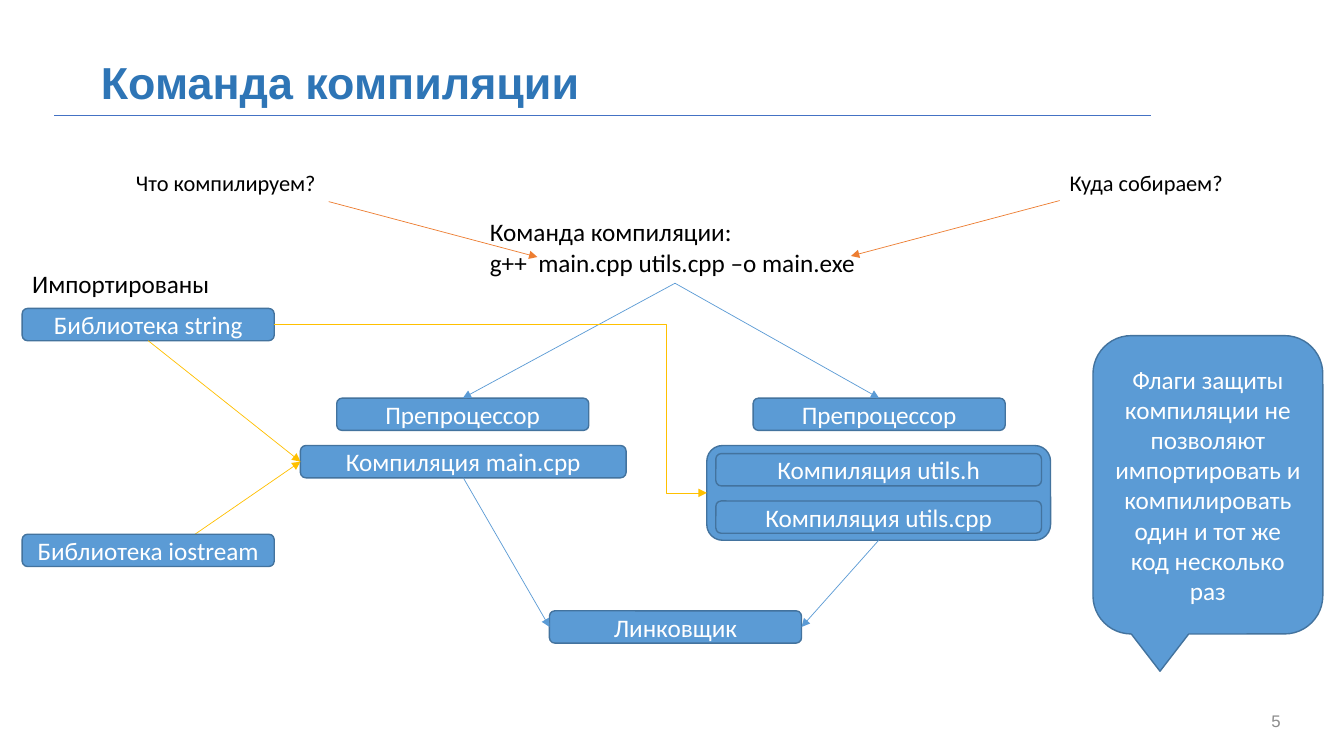
from dataclasses import dataclass

from lxml.etree import SubElement
from pptx import Presentation
from pptx.dml.color import RGBColor
from pptx.enum.shapes import MSO_CONNECTOR as Connector, MSO_SHAPE as Preset
from pptx.enum.text import MSO_ANCHOR as Anchor, MSO_AUTO_SIZE as AutoSize, PP_ALIGN as Align
from pptx.oxml.ns import qn
from pptx.util import Inches, Pt

COLORS = {
    "title": "2E75B6", "rule": "4472C4", "number": "8C8C8C", "text": "000000",
    "box": "5B9BD5", "outline": "43739E", "box_text": "FFFFFF",
    "build": "5B9BD5", "question": "ED7D31", "library": "FFC000",
}
TOP, LEFT, BOTTOM, RIGHT = range(4)


@dataclass
class Box:
    name: str
    text: str
    left: float
    top: float
    width: float = 2.5
    height: float = 0.32
    preset: Preset = Preset.ROUNDED_RECTANGLE


@dataclass
class Label:
    name: str
    lines: list[str]
    left: float
    top: float
    width: float
    height: float
    size: int = 18


@dataclass
class Join:
    start: str
    start_side: int
    end: str
    end_side: int
    color: str
    kind: Connector = Connector.STRAIGHT


@dataclass
class Line:
    start: tuple[float, float]
    end: tuple[float, float]
    color: str
    arrow: bool = True


BOXES = [
    Box("linker", "Линковщик", 5.45, 6.06),
    Box("main", "Компиляция main.cpp", 2.98, 4.42, 3.23),
    Box("utils", "", 7.01, 4.42, 3.41, 0.94),
    Box("utils source", "Компиляция utils.cpp", 7.1, 4.97, 3.23),
    Box("utils header", "Компиляция utils.h", 7.1, 4.5, 3.23),
    Box("main preprocessor", "Препроцессор", 3.34, 3.95),
    Box("utils preprocessor", "Препроцессор", 7.47, 3.95),
    Box("guards", "Флаги защиты компиляции не позволяют импортировать и компилировать "
        "один и тот же код несколько раз", 10.84, 3.33, 2.28, 2.96,
        Preset.ROUNDED_RECTANGULAR_CALLOUT),
    Box("string", "Библиотека string", 0.22, 3.06),
    Box("iostream", "Библиотека iostream", 0.22, 5.3),
]
LABELS = [
    Label("command", ["Команда компиляции:", "g++  main.cpp utils.cpp –o main.exe"],
          4.76, 2.1, 3.87, 0.71),
    Label("what", ["Что компилируем?"], 1.25, 1.63, 2.01, 0.37, 16),
    Label("where", ["Куда собираем?"], 10.51, 1.63, 1.74, 0.37, 16),
    Label("imported", ["Импортированы"], 0.22, 2.61, 1.98, 0.4),
]
JOINS = [
    Join("command", BOTTOM, "main preprocessor", TOP, "build"),
    Join("command", BOTTOM, "utils preprocessor", TOP, "build"),
    Join("main", BOTTOM, "linker", LEFT, "build"),
    Join("utils", BOTTOM, "linker", RIGHT, "build"),
    Join("iostream", BOTTOM, "main", LEFT, "library"),
    Join("string", RIGHT, "utils", LEFT, "library", Connector.ELBOW),
    Join("string", BOTTOM, "main", LEFT, "library"),
]
LINES = [
    Line((0.54, 1.14), (11.42, 1.14), "rule", arrow=False),
    Line((3.26, 2), (5.33, 2.55), "question"),
    Line((10.51, 1.99), (8.44, 2.54), "question"),
]


def rgb(name: str) -> RGBColor:
    return RGBColor.from_string(COLORS[name])


def place(shape, left: float, top: float, width: float, height: float) -> None:
    shape.left, shape.top = Inches(left), Inches(top)
    shape.width, shape.height = Inches(width), Inches(height)


def add_run(paragraph, text: str, size: int, color: str, font: str = "Calibri",
            bold: bool = False) -> None:
    run = paragraph.add_run()
    run.text = text
    run.font.size = Pt(size)
    run.font.name = font
    run.font.bold = bold
    run.font.color.rgb = rgb(color)


def add_box(slide, box: Box):
    shape = slide.shapes.add_shape(box.preset, 0, 0, 0, 0)
    place(shape, box.left, box.top, box.width, box.height)
    shape.shadow.inherit = False
    shape.fill.solid()
    shape.fill.fore_color.rgb = rgb("box")
    shape.line.color.rgb = rgb("outline")
    shape.line.width = Pt(1)
    if box.text:
        shape.text_frame.word_wrap = True
        shape.text_frame.vertical_anchor = Anchor.MIDDLE
        paragraph = shape.text_frame.paragraphs[0]
        paragraph.alignment = Align.CENTER
        add_run(paragraph, box.text, 18, "box_text")
    return shape


def add_label(slide, label: Label):
    shape = slide.shapes.add_textbox(0, 0, 0, 0)
    place(shape, label.left, label.top, label.width, label.height)
    frame = shape.text_frame
    frame.word_wrap = False
    frame.auto_size = AutoSize.SHAPE_TO_FIT_TEXT
    for index, line in enumerate(label.lines):
        paragraph = frame.add_paragraph() if index else frame.paragraphs[0]
        add_run(paragraph, line, label.size, "text")
    return shape


def style_connector(connector, color: str, arrow: bool = True) -> None:
    connector.line.color.rgb = rgb(color)
    connector.line.width = Pt(0.5)
    properties = connector.element.spPr
    SubElement(properties, qn("a:effectLst"))
    if arrow:
        SubElement(properties.find(qn("a:ln")), qn("a:tailEnd"), type="triangle")


def add_line(slide, line: Line) -> None:
    points = [Inches(value) for value in (*line.start, *line.end)]
    connector = slide.shapes.add_connector(Connector.STRAIGHT, *points)
    style_connector(connector, line.color, line.arrow)


def add_join(slide, join: Join, shapes: dict) -> None:
    connector = slide.shapes.add_connector(join.kind, 0, 0, 0, 0)
    connector.begin_connect(shapes[join.start], join.start_side)
    connector.end_connect(shapes[join.end], join.end_side)
    style_connector(connector, join.color)
    if join.kind == Connector.ELBOW:
        guides = connector.element.spPr.find(qn("a:prstGeom")).get_or_add_avLst()
        SubElement(guides, qn("a:gd"), name="adj1", fmla="val 90700")


def add_title(slide) -> None:
    title = slide.shapes.title
    place(title, 0.9, 0.53, 8.45, 0.55)
    title.text_frame.auto_size = AutoSize.NONE
    title.text_frame.vertical_anchor = Anchor.MIDDLE
    paragraph = title.text_frame.paragraphs[0]
    paragraph.alignment = Align.LEFT
    add_run(paragraph, "Команда компиляции", 32, "title", "Arial", True)


def add_number(slide) -> None:
    number = slide.shapes.add_textbox(0, 0, 0, 0)
    place(number, 11.5, 6.95, 1.3, 0.4)
    number.text_frame.word_wrap = True
    number.text_frame.vertical_anchor = Anchor.MIDDLE
    paragraph = number.text_frame.paragraphs[0]
    paragraph.alignment = Align.RIGHT
    add_run(paragraph, "5", 12, "number", "Arial")


def main() -> None:
    presentation = Presentation()
    presentation.slide_width, presentation.slide_height = Inches(13.33), Inches(7.5)
    slide = presentation.slides.add_slide(presentation.slide_layouts[5])
    add_title(slide)
    add_number(slide)
    shapes = {box.name: add_box(slide, box) for box in BOXES}
    shapes |= {label.name: add_label(slide, label) for label in LABELS}
    for line in LINES:
        add_line(slide, line)
    for join in JOINS:
        add_join(slide, join, shapes)
    slide.shapes.element.append(shapes["iostream"].element)
    presentation.save("out.pptx")


if __name__ == "__main__":
    main()
